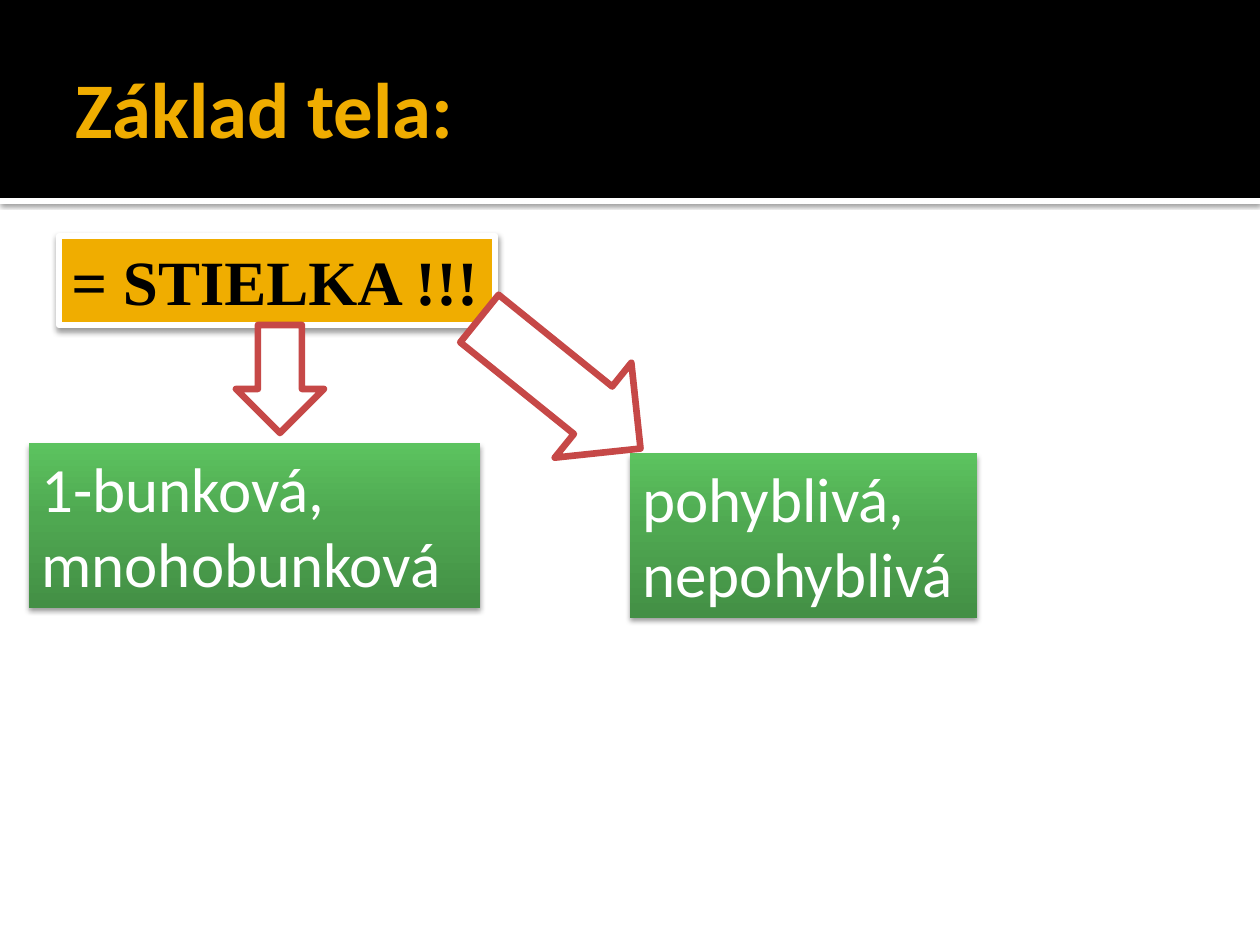
from copy import deepcopy

from lxml import etree
from pptx import Presentation
from pptx.dml.color import RGBColor
from pptx.enum.shapes import MSO_SHAPE as Shape
from pptx.enum.text import MSO_ANCHOR as Anchor, PP_ALIGN as Align
from pptx.oxml.ns import qn
from pptx.util import Emu, Pt

PX = 914400 // 126


def color(hex_string):
    return RGBColor.from_string(hex_string)


def add_shape(kind, box, fill=None, line=None, shadow=None):
    """Add a shape; shadow is (opacity %, blur pt, distance pt), cast downwards."""
    shape = slide.shapes.add_shape(kind, *[Emu(n * PX) for n in box])
    shape.shadow.inherit = False
    if fill:
        shape.fill.solid()
        shape.fill.fore_color.rgb = color(fill)
    if line:
        shape.line.color.rgb = color(line)
        shape.line.width = Pt(3.8)
    else:
        shape.line.fill.background()
    if shadow:
        opacity, blur, distance = shadow
        effects = shape._element.spPr.find(qn("a:effectLst"))
        outer = etree.SubElement(
            effects, qn("a:outerShdw"), blurRad=str(Pt(blur)),
            dist=str(Pt(distance)), dir="5400000", rotWithShape="0")
        black = etree.SubElement(outer, qn("a:srgbClr"), val="000000")
        etree.SubElement(black, qn("a:alpha"), val=str(opacity * 1000))
    return shape


def write(shape, lines, font_name, size, hex_string, bold=False):
    frame = shape.text_frame
    frame.text = "\n".join(lines)
    frame.vertical_anchor = Anchor.TOP
    for paragraph in frame.paragraphs:
        paragraph.alignment = Align.LEFT
        paragraph.font.name = font_name
        paragraph.font.size = Pt(size)
        paragraph.font.bold = bold
        paragraph.font.color.rgb = color(hex_string)
    return frame


presentation = Presentation()
presentation.slide_width = Emu(1260 * PX)
presentation.slide_height = Emu(945 * PX)
slide = presentation.slides.add_slide(presentation.slide_layouts[6])

# Header band with a white rule below it
add_shape(Shape.RECTANGLE, (0, 198, 1260, 6), "FFFFFF", shadow=(60, 2.5, 0.8))
add_shape(Shape.RECTANGLE, (0, 0, 1260, 198), "000000")

# Title
title = slide.shapes.add_textbox(*[Emu(n * PX) for n in (63, 21, 1134, 173)])
frame = write(title, ["Základ tela:"], "Calibri", 45, "F0AD00", bold=True)
frame.word_wrap = True
frame.vertical_anchor = Anchor.MIDDLE

# Key term
term = add_shape(Shape.RECTANGLE, (59, 236, 436, 89), "F0AD00", "FFFFFF", (38, 3.5, 2))
frame = write(term, ["= STIELKA !!!"], "Times New Roman", 36, "000000", bold=True)
frame.word_wrap = False

# Green property boxes, each with the arrow that leads to it
gradient = [(0, "438F45"), (0.55, "4FA851"), (1, "5CC35F")]
properties = [
    ((29, 443, 451, 165), ["1-bunková,", "mnohobunková"], (236, 325, 88, 108), 0),
    ((630, 453, 347, 165), ["pohyblivá,", "nepohyblivá"], (499, 280, 122, 207), 308.9),
]
for box, lines, arrow_box, rotation in properties:
    panel = add_shape(Shape.RECTANGLE, box, shadow=(38, 3.1, 2))
    panel.fill.gradient()
    panel.fill.gradient_angle = 90
    stop_list = panel._element.spPr.find(".//" + qn("a:gsLst"))
    stop_list.insert(1, deepcopy(stop_list[0]))
    for stop, (position, hex_string) in zip(panel.fill.gradient_stops, gradient):
        stop.position = position
        stop.color.rgb = color(hex_string)
    write(panel, lines, "Calibri", 36, "FFFFFF").word_wrap = False

    arrow = add_shape(Shape.DOWN_ARROW, arrow_box, "FFFFFF", "C64847")
    arrow.rotation = rotation

presentation.save("out.pptx")
